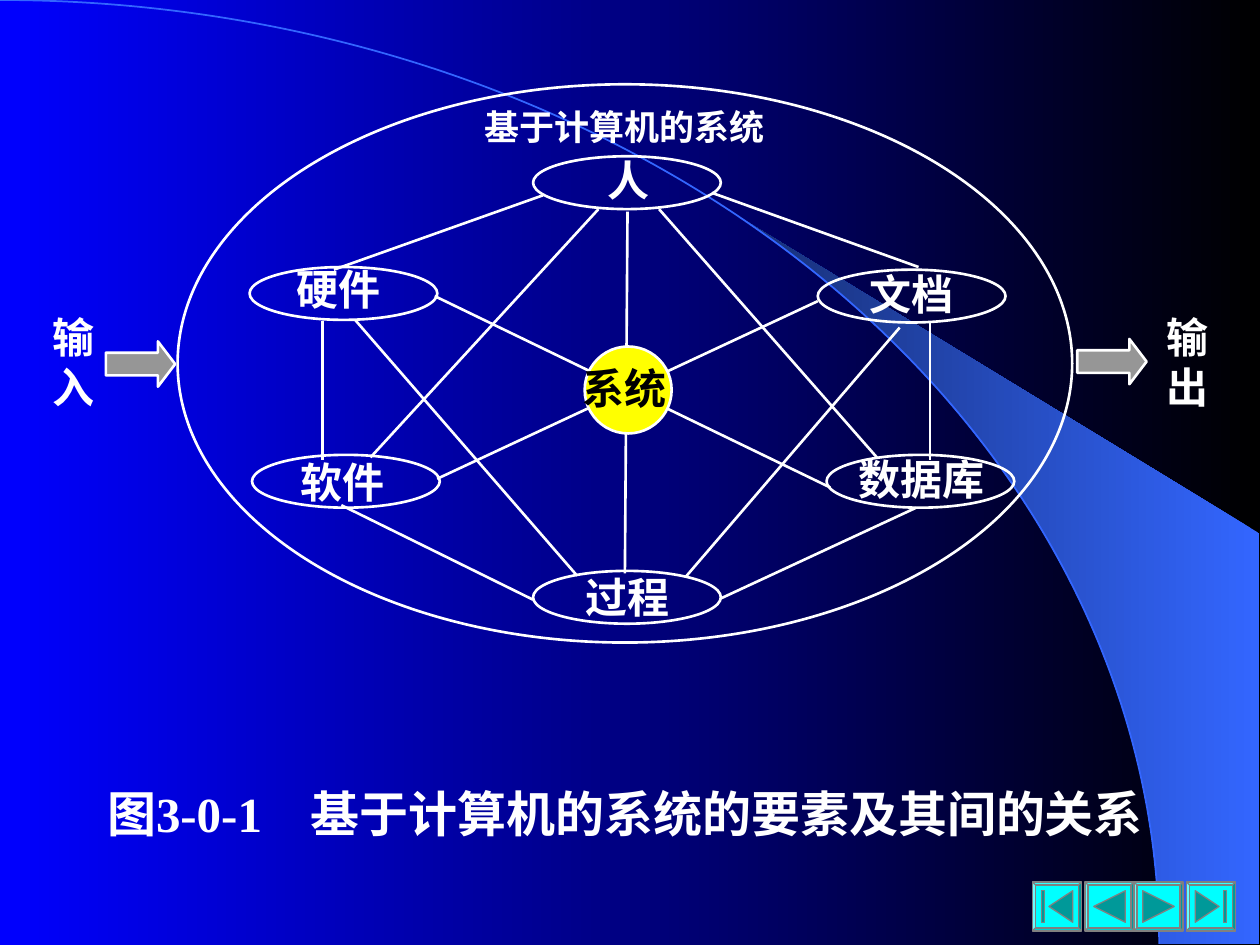
from math import asin, cos, pi, sin
from lxml.etree import SubElement
from pptx import Presentation
from pptx.dml.color import RGBColor
from pptx.enum.shapes import MSO_CONNECTOR, MSO_SHAPE
from pptx.enum.text import MSO_ANCHOR, PP_ALIGN
from pptx.oxml.ns import qn
from pptx.util import Pt

rgb = RGBColor.from_string
WHITE, ACCENT = "FFFFFF", "3366FF"


def paint(shape, fill=None, line=WHITE, width=1.5):
    shape.shadow.inherit = False
    if fill:
        shape.fill.solid()
        shape.fill.fore_color.rgb = rgb(fill)
    else:
        shape.fill.background()
    if line:
        shape.line.color.rgb = rgb(line)
        shape.line.width = Pt(width)
    else:
        shape.line.fill.background()


def write(frame, text, size=24, color=WHITE, align=PP_ALIGN.CENTER,
          anchor=MSO_ANCHOR.MIDDLE, inset=(0, 0), tab=None):
    frame.word_wrap = True
    frame.vertical_anchor = anchor
    frame.margin_left = frame.margin_right = Pt(inset[0])
    frame.margin_top = frame.margin_bottom = Pt(inset[1])
    paragraph = frame.paragraphs[0]
    paragraph.alignment = align
    if tab:
        stops = SubElement(paragraph._p.get_or_add_pPr(), qn("a:tabLst"))
        SubElement(stops, qn("a:tab"), pos=str(Pt(tab)), algn="l")
    run = paragraph.add_run()
    run.text = text
    run.font.name = "Times New Roman"
    run.font.size = Pt(size)
    run.font.bold = True
    run.font.color.rgb = rgb(color)


deck = Presentation()
deck.slide_width, deck.slide_height = Pt(720), Pt(540)
slide = deck.slides.add_slide(deck.slide_layouts[5])
shapes = slide.shapes

# Backdrop: a wedge whose left edge follows the large arc
RADIUS_X, RADIUS_Y = 662.4, 539.3
first_angle = asin(0.64)
STEPS = 24
angles = [first_angle + (pi / 2 - first_angle) * i / STEPS for i in range(STEPS + 1)]
edge = [(RADIUS_X * sin(a) * 10, RADIUS_Y * (1 - cos(a)) * 10) for a in angles]
outline = shapes.build_freeform(*edge[0], scale=Pt(0.1))
outline.add_line_segments(edge[1:] + [(7193, 5393), (7193, 3046)], close=True)
wedge = outline.convert_to_shape()
paint(wedge, line=None)

for fill, ends in [(slide.background.fill, ("000000", "0000FF")),
                   (wedge.fill, (ACCENT, "172F75"))]:
    fill.gradient()
    fill.gradient_angle = 180
    for stop, color in zip(fill.gradient_stops, ends):
        stop.color.rgb = rgb(color)

arc = shapes.add_shape(MSO_SHAPE.ARC, Pt(-RADIUS_X), Pt(0),
                       Pt(2 * RADIUS_X), Pt(2 * RADIUS_Y))
paint(arc, line=ACCENT, width=1)

# Caption
caption = shapes.title
caption.left, caption.top, caption.width, caption.height = Pt(54), Pt(444.2), Pt(612), Pt(54)
write(caption.text_frame, "图3-0-1\t基于计算机的系统的要素及其间的关系", size=28,
      align=PP_ALIGN.LEFT, anchor=MSO_ANCHOR.TOP, inset=(7.2, 3.6), tab=116.5)

# Relations between the elements
relations = [
    (358.6, 121, 357.1, 327.6), (248.4, 169.2, 474.5, 278.6),
    (467.3, 172.1, 249.8, 273.6), (514.1, 187.2, 391.7, 329.8),
    (523.4, 290.2, 411.8, 342), (195.1, 288.7, 304.6, 342.7),
    (203, 182.9, 329.8, 329), (531.4, 184.3, 531.4, 262.8),
    (406.8, 110.2, 524.9, 152.6), (310.3, 111.6, 190.8, 154.1),
    (184.3, 183.6, 184.3, 262.8), (342, 119.5, 211.7, 261.4),
    (376.6, 119.5, 501.1, 261.4),
]
for ends in relations:
    relation = shapes.add_connector(MSO_CONNECTOR.STRAIGHT, *map(Pt, ends))
    relation.line.color.rgb = rgb(WHITE)
    relation.line.width = Pt(1.5)
    SubElement(relation._element.spPr, qn("a:effectLst"))

# System boundary, centre and the six elements
ovals = [(101.5, 48.2, 511.2, 319, None), (334.1, 198, 49.7, 49.7, "FFFF00")]
ovals += [(left, top, 107.3, 30.2, None) for left, top in [
    (304.6, 89.3), (142.6, 152.6), (144, 259.9),
    (467.3, 154.1), (304.6, 326.2), (472.3, 259.9)]]
for *box, color in ovals:
    paint(shapes.add_shape(MSO_SHAPE.OVAL, *map(Pt, box)), fill=color)

# Input and output arrows
for left, top in [(60.5, 195.1), (615.6, 193.7)]:
    flow = shapes.add_shape(MSO_SHAPE.RIGHT_ARROW, Pt(left), Pt(top), Pt(39.6), Pt(25.9))
    flow.adjustments[1] = 0.38
    paint(flow, fill="969696")

# Labels
labels = [
    ("人", (339.8, 90, 38.2, 25.9), {}),
    ("硬件", (162, 149.8, 63.4, 30.2), {}),
    ("软件", (167.8, 262.8, 55.4, 25.2), {}),
    ("文档", (489.6, 156.2, 62.6, 23.8), {}),
    ("过程", (321.1, 327.6, 74.9, 26.6), {}),
    ("数据库", (486, 257.8, 80.6, 31.7), {}),
    ("系统", (326.9, 208.8, 59.8, 25.2), {"color": "000000"}),
    ("输入", (23.8, 185.8, 36, 41.8), {}),
    ("输出", (661, 185.8, 35.3, 41.8), {}),
    ("基于计算机的系统", (274.3, 60.5, 164.9, 23.8), {"size": 20}),
]
for text, box, style in labels:
    write(shapes.add_textbox(*map(Pt, box)).text_frame, text, **style)

# Navigation buttons: icon points in tenths of a point, facing left
SIDE, BUTTON_TOP = 280, 5040
arrow_icon = [[(50, 140), (230, 50), (230, 230)]]
stop_icon = [[(94, 140), (230, 50), (230, 230)],
             [(50, 50), (70, 50), (70, 230), (50, 230)]]
for left, icon, mirrored in [(5900, stop_icon, False), (6200, arrow_icon, False),
                             (6480, arrow_icon, True), (6780, stop_icon, True)]:
    button = shapes.add_shape(MSO_SHAPE.BEVEL, Pt(left / 10), Pt(BUTTON_TOP / 10),
                              Pt(SIDE / 10), Pt(SIDE / 10))
    button.adjustments[0] = 0.06
    paint(button, fill="00FFFF", line="808080", width=0.75)
    for part in icon:
        points = [(left + (SIDE - x if mirrored else x), BUTTON_TOP + y) for x, y in part]
        outline = shapes.build_freeform(*points[0], scale=Pt(0.1))
        outline.add_line_segments(points[1:], close=True)
        paint(outline.convert_to_shape(), fill="009999", line="808080", width=0.75)

deck.save("out.pptx")
